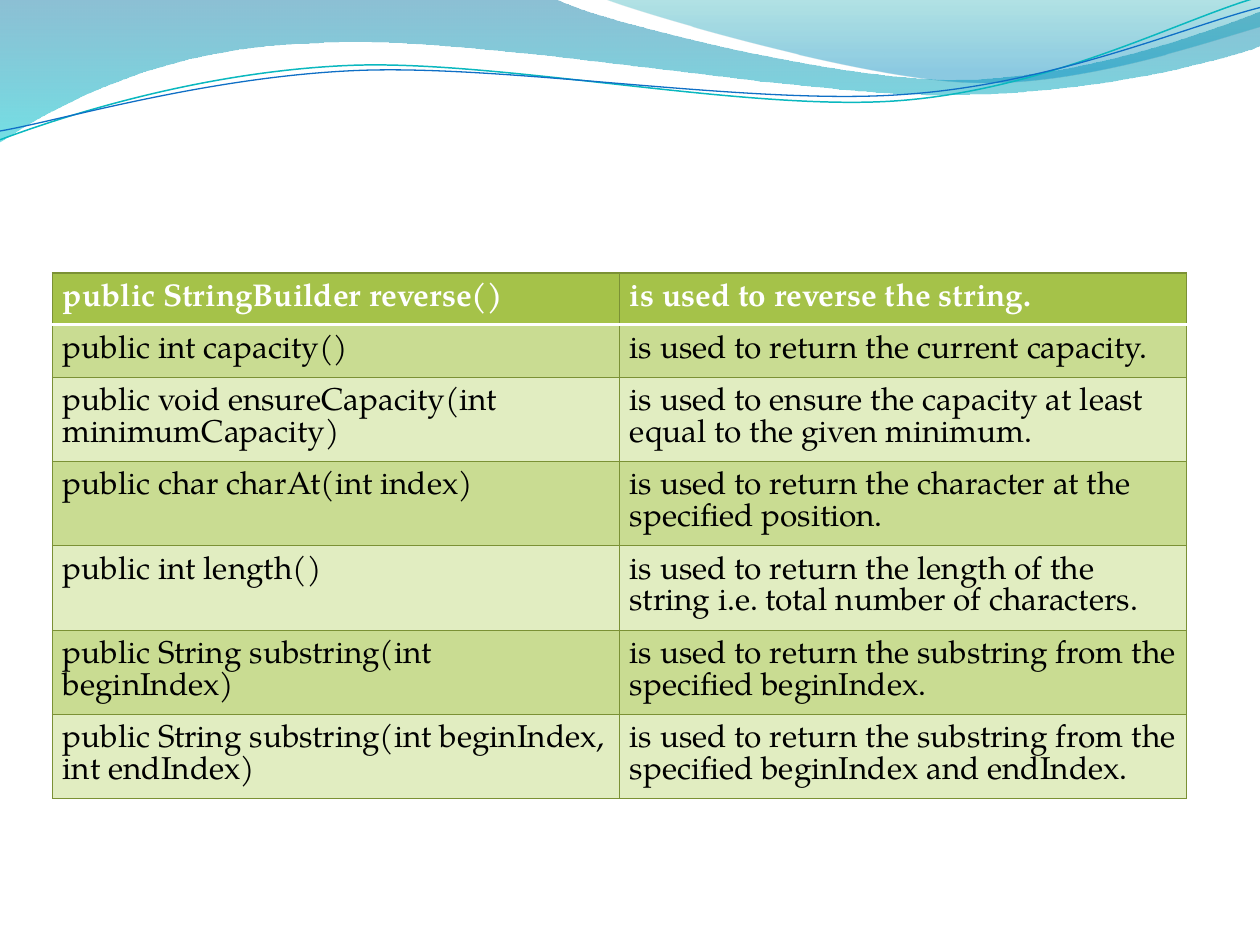
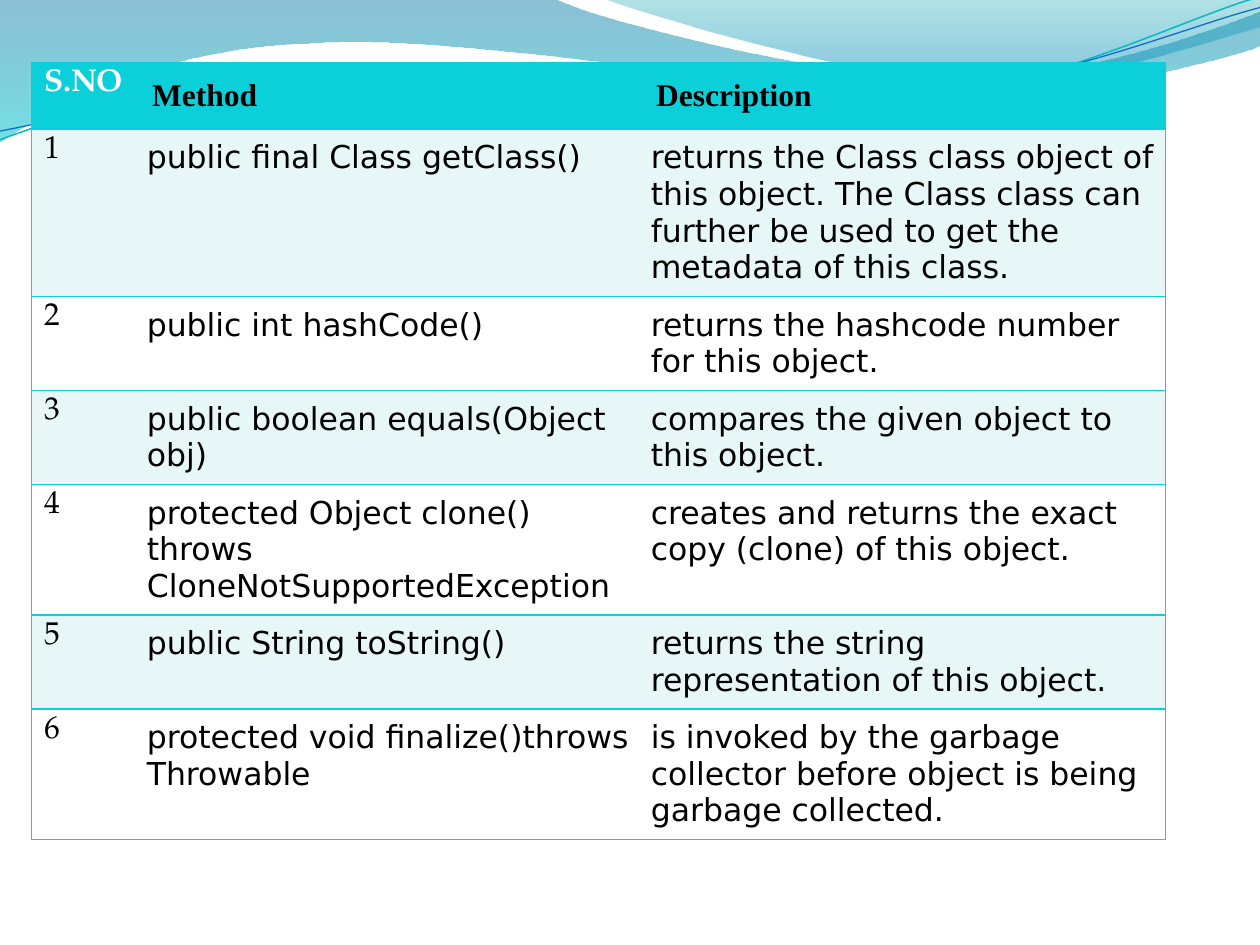
from itertools import chain
from lxml.etree import SubElement
from pptx import Presentation
from pptx.dml.color import RGBColor
from pptx.oxml.ns import qn
from pptx.util import Emu, Pt

GREEN, GREEN_DARK, GREEN_BAND, GREEN_PALE = "A5C249", "7B9135", "C9DC92", "E1EDC1"
CYAN, CYAN_PALE, WHITE, BLACK = "0BD0D9", "E7F7F8", "FFFFFF", "000000"
SERIF, SANS, TIMES = "TeX Gyre Pagella", "DejaVu Sans", "Times New Roman"
NO_STYLE = "{2D5ABB26-0587-4C30-8999-92F81FD0307C}"

BROAD_WAVE = [
    [(0, 0)], [(44, -0.1)],
    [(47.6, 1.7), (66.4, 6.3), (75.8, 6.3)],
    [(85.3, 6.3), (95.8, 2.6), (100, 0.9)],
    [(100.1, 3.6)],
    [(98.3, 4.4), (87, 7.6), (74.6, 7.5)],
    [(62.2, 7.5), (38.2, 2.8), (25.7, 3.4)],
    [(12.9, 3.6), (4.6, 8.3), (-0.1, 11.3)],
    [(0, 0)],
]
CORNER_WAVE = [
    [(47.9, -0.1)],
    [(50.9, 1.1), (68.2, 6.2), (76.9, 6.5)],
    [(85.6, 6.9), (96.1, 3.2), (100, 2.1)],
    [(100, 0)], [(47.9, -0.1)],
]
TEAL_LINE = [
    [(0, 11.1)],
    [(4.8, 9.3), (15.8, 5.7), (27.7, 5.2)],
    [(39.5, 4.7), (59.3, 8.9), (71.3, 8)],
    [(83.3, 7.1), (93.8, 1.5), (99.8, -0.2)],
]
BLUE_LINE = [
    [(0, 10.4)],
    [(4.7, 9.6), (16.4, 6.1), (28.3, 5.6)],
    [(40.3, 5.1), (59.7, 8.4), (71.7, 7.5)],
    [(83.6, 6.7), (94.1, 2.1), (100, 0.6)],
]


def color(hex_text):
    """Turn a hex string into a colour."""
    return RGBColor.from_string(hex_text)


def apply(target, formats):
    """Set every attribute named in formats."""
    for name, value in formats.items():
        setattr(target, name, value)


class Deck:
    """Holds the style, the grid of 100 columns by 75 rows and the current slide."""

    columns, rows = 100, 75
    font_size = Pt(18)

    def __init__(self):
        """Open an empty 10 by 7.5 inch presentation."""
        self.presentation = Presentation()
        apply(self.presentation, {"slide_width": Emu(9144000), "slide_height": Emu(6858000)})
        self.slide = None

    def across(self, columns):
        """Convert grid columns to a length."""
        return Emu(round(self.presentation.slide_width * columns / self.columns))

    def down(self, rows):
        """Convert grid rows to a length."""
        return Emu(round(self.presentation.slide_height * rows / self.rows))

    def new_slide(self):
        """Add a blank slide with the shared wave band."""
        self.slide = self.presentation.slides.add_slide(self.presentation.slide_layouts[6])
        fill = self.slide.background.fill
        fill.solid()
        fill.fore_color.rgb = color(WHITE)
        self.wave(BROAD_WAVE, [(0, "0074A1", 45), (1, "00C6CF", 55)])
        self.wave(CORNER_WAVE, [(0, "00A1A9", 30), (0.8, "008BBF", 45)])
        self.curve(TEAL_LINE, "0AB8BF", 0.85)
        self.curve(BLUE_LINE, "0F6FC6", 0.75)

    def outline(self, segments, close):
        """Draw a freeform, turning each segment of three points into a cubic curve."""
        points = [(self.across(x), self.down(y)) for x, y in chain(*segments)]
        builder = self.slide.shapes.build_freeform(*points[0])
        builder.add_line_segments(points[1:], close=close)
        shape = builder.convert_to_shape()
        shape.shadow.inherit = False
        lines = shape.element.iter(qn("a:lnTo"))
        lines = iter(list(lines))
        for segment in segments[1:]:
            nodes = [next(lines) for point in segment]
            if len(nodes) == 3:
                cubic = SubElement(nodes[0].getparent(), qn("a:cubicBezTo"))
                nodes[0].addprevious(cubic)
                for node in nodes:
                    cubic.append(node[0])
                    node.getparent().remove(node)
        return shape

    def wave(self, segments, stops):
        """Draw a closed wave with a translucent downward gradient."""
        shape = self.outline(segments, True)
        shape.line.fill.background()
        shape.fill.gradient()
        shape.fill.gradient_angle = 270
        for stop, (position, tone, opacity) in zip(shape.fill.gradient_stops, stops):
            stop.position = position
            stop.color.rgb = color(tone)
        for node, stop in zip(shape.element.iter(qn("a:gs")), stops):
            SubElement(node[0], qn("a:alpha"), val=str(stop[2] * 1000))

    def curve(self, segments, tone, width):
        """Draw an open curved line."""
        shape = self.outline(segments, False)
        shape.fill.background()
        shape.line.color.rgb = color(tone)
        shape.line.width = Pt(width)

    def table(self, left, top, widths, heights, texts, cell_style):
        """Add a table whose cells are styled by cell_style(row, column)."""
        frame = self.slide.shapes.add_table(
            len(heights), len(widths), self.across(left), self.down(top),
            self.across(sum(widths)), self.down(sum(heights)))
        next(frame.element.iter(qn("a:tableStyleId"))).text = NO_STYLE
        table = frame.table
        for column, width in zip(table.columns, widths):
            column.width = self.across(width)
        for row, height in zip(table.rows, heights):
            row.height = self.down(height)
        for index, (cell, text) in enumerate(zip(table.iter_cells(), chain(*texts))):
            self.cell(cell, text, **cell_style(*divmod(index, len(widths))))

    def cell(self, cell, text, fill, font, tone, bold, inset, borders):
        """Write and format one table cell."""
        cell.text = text
        if inset:
            apply(cell, {f"margin_{side}": self.across(inset)
                         for side in ("left", "right", "top", "bottom")})
        run_font = cell.text_frame.paragraphs[0].runs[0].font
        apply(run_font, {"name": font, "size": self.font_size, "bold": bold})
        run_font.color.rgb = color(tone)
        properties = cell._tc.get_or_add_tcPr()
        for side in "LRTB":
            if side in borders:
                border_tone, width = borders[side]
                border = SubElement(properties, qn(f"a:ln{side}"), w=str(Pt(width)))
                SubElement(SubElement(border, qn("a:solidFill")),
                           qn("a:srgbClr"), val=border_tone)
        cell.fill.solid()
        cell.fill.fore_color.rgb = color(fill)


def builder_style(row, column):
    """Style the green table of string builder methods."""
    borders = dict.fromkeys("LRTB", (GREEN_DARK, 0.75))
    if row < 2:
        borders["B" if row == 0 else "T"] = (WHITE, 2)
    header = row == 0
    return {"fill": GREEN if header else GREEN_BAND if row % 2 else GREEN_PALE,
            "font": SERIF, "tone": WHITE if header else BLACK, "bold": header,
            "inset": 0.83, "borders": borders}


def object_style(row, column):
    """Style the cyan table of object methods."""
    header, number = row == 0, column == 0
    sides = ("LTB", "TB", "RTB")[column]
    return {"fill": CYAN if header else CYAN_PALE if row % 2 else WHITE,
            "font": SERIF if number else TIMES if header else SANS,
            "tone": WHITE if header and number else BLACK, "bold": header,
            "inset": None if number else 1.25 if header else 0.83,
            "borders": dict.fromkeys(sides, (CYAN, 1))}


BUILDER_METHODS = [
    ("public StringBuilder reverse()", "is used to reverse the string."),
    ("public int capacity()", "is used to return the current capacity."),
    ("public void ensureCapacity(int minimumCapacity)",
     "is used to ensure the capacity at least equal to the given minimum."),
    ("public char charAt(int index)",
     "is used to return the character at the specified position."),
    ("public int length()",
     "is used to return the length of the string i.e. total number of characters."),
    ("public String substring(int beginIndex)",
     "is used to return the substring from the specified beginIndex."),
    ("public String substring(int beginIndex, int endIndex)",
     "is used to return the substring from the specified beginIndex and endIndex."),
]
OBJECT_METHODS = [
    ("S.NO", "Method", "Description"),
    ("1", "public final Class getClass()",
     "returns the Class class object of this object. The Class class can further "
     "be used to get the metadata of this class."),
    ("2", "public int hashCode()", "returns the hashcode number for this object."),
    ("3", "public boolean equals(Object obj)", "compares the given object to this object."),
    ("4", "protected Object clone() throws CloneNotSupportedException",
     "creates and returns the exact copy (clone) of this object."),
    ("5", "public String toString()", "returns the string representation of this object."),
    ("6", "protected void finalize()throws Throwable",
     "is invoked by the garbage collector before object is being garbage collected."),
]
ROW_HEIGHTS = [4.06] * 7

deck = Deck()
deck.new_slide()
deck.table(4.17, 21.67, [45, 45], ROW_HEIGHTS, BUILDER_METHODS, builder_style)
deck.new_slide()
deck.table(2.5, 5, [8.33, 40, 41.67], ROW_HEIGHTS, OBJECT_METHODS, object_style)
deck.presentation.save("out.pptx")
